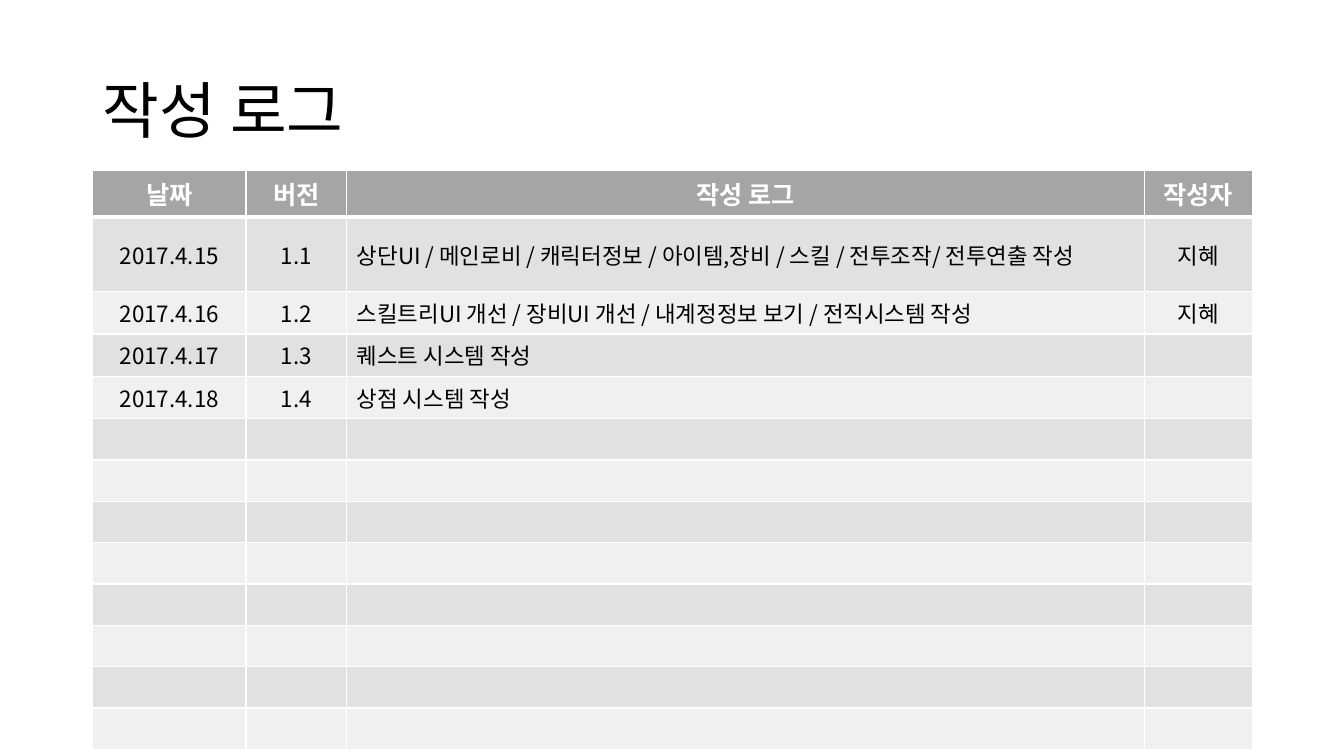
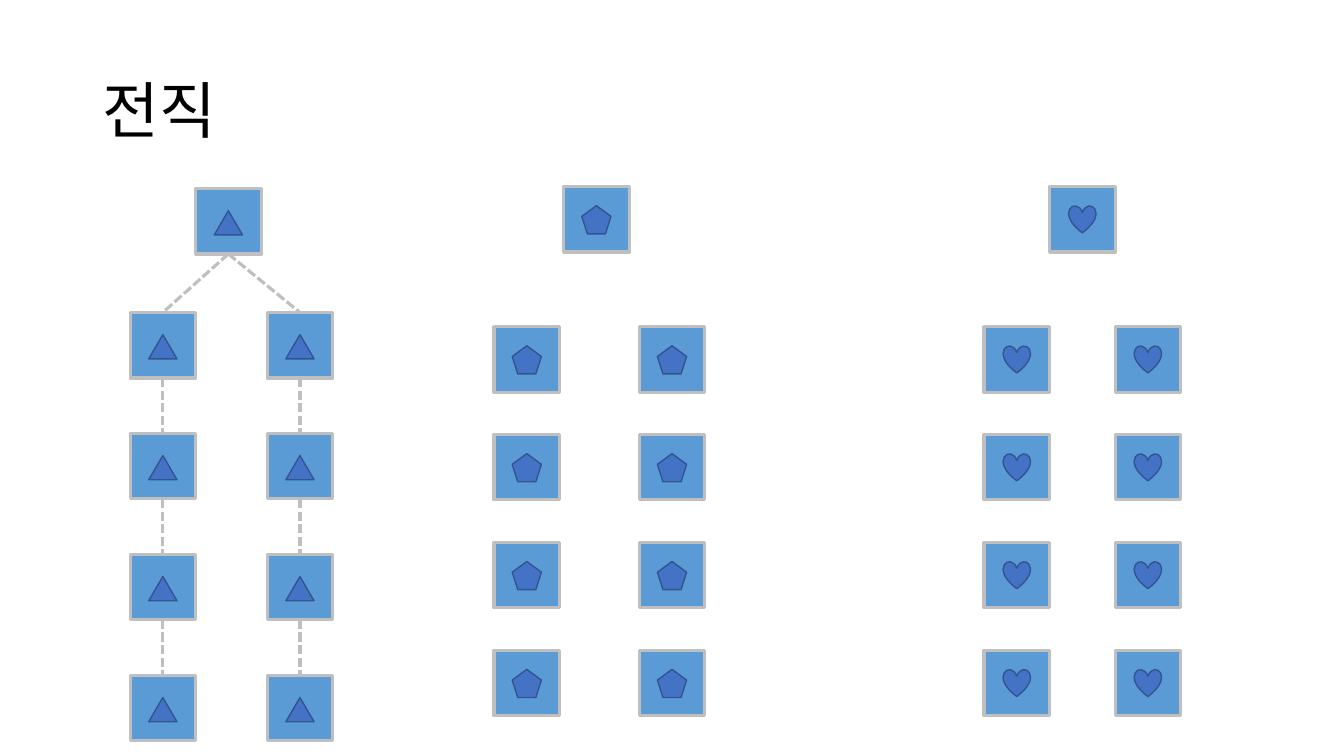
"""Build a work log table slide and a class tree slide."""
import lxml.etree
import pptx
import pptx.dml.color
import pptx.enum.dml
import pptx.enum.shapes
import pptx.enum.text
import pptx.oxml.ns
import pptx.util

Inches = pptx.util.Inches
Pt = pptx.util.Pt
Kind = pptx.enum.shapes.MSO_SHAPE
Align = pptx.enum.text.PP_ALIGN
Anchor = pptx.enum.text.MSO_ANCHOR
qn = pptx.oxml.ns.qn

HUES = {
    "ink": "000000", "white": "FFFFFF", "head": "A5A5A5",
    "odd": "E1E1E1", "even": "F0F0F0", "box": "5B9BD5",
    "edge": "BFBFBF", "icon": "4472C4", "rim": "325491",
}
SIDE = 0.65


def tint(name):
    return pptx.dml.color.RGBColor.from_string(HUES[name])


class Deck:
    font = "Noto Sans CJK KR"

    def __init__(self):
        self.prs = pptx.Presentation()
        self.prs.slide_width = Inches(13.33)
        self.prs.slide_height = Inches(7.5)
        self.slide = None

    def page(self, title):
        self.slide = self.prs.slides.add_slide(self.prs.slide_layouts[5])
        head = self.slide.shapes.title
        head.left, head.top = Inches(0.92), Inches(0.4)
        head.width, head.height = Inches(11.5), Inches(1.45)
        head.text_frame.vertical_anchor = Anchor.MIDDLE
        self.text(head.text_frame, title, 44, "ink", Align.LEFT)
        head.text_frame.paragraphs[0].line_spacing = 0.9

    def text(self, frame, words, size, hue, align, bold=False):
        para = frame.paragraphs[0]
        para.alignment = align
        run = para.add_run()
        run.text = words
        run.font.size = Pt(size)
        run.font.bold = bold
        run.font.color.rgb = tint(hue)
        run.font.name = self.font
        east = lxml.etree.SubElement(run.font._element, qn("a:ea"))
        east.set("typeface", self.font)

    def border(self, cell, base):
        props = cell._tc.get_or_add_tcPr()
        widths = {"L": 1, "R": 1, "T": 1, "B": base}
        for spot, (edge, width) in enumerate(widths.items()):
            line = lxml.etree.Element(qn("a:ln" + edge), w=str(Pt(width)))
            fill = lxml.etree.SubElement(line, qn("a:solidFill"))
            lxml.etree.SubElement(fill, qn("a:srgbClr"), val=HUES["white"])
            props.insert(spot, line)

    def table(self, left, top, cols, high, rows):
        grid = self.slide.shapes.add_table(
            len(rows), len(cols), Inches(left), Inches(top),
            Inches(sum(cols)), Inches(high * len(rows))).table
        for col, width in zip(grid.columns, cols):
            col.width = Inches(width)
        for r, row in enumerate(rows):
            grid.rows[r].height = Inches(high)
            for c, words in enumerate(row):
                cell = grid.cell(r, c)
                cell.vertical_anchor = Anchor.MIDDLE
                cell.fill.solid()
                if r == 0:
                    cell.fill.fore_color.rgb = tint("head")
                    self.text(cell.text_frame, words, 18, "white",
                              Align.CENTER, True)
                else:
                    cell.fill.fore_color.rgb = tint("odd" if r % 2 else "even")
                    self.text(cell.text_frame, words, 16, "ink",
                              Align.LEFT if c == 2 else Align.CENTER)
                self.border(cell, 1 if r else 3)

    def shape(self, group, kind, left, top, width, high, fill, line, thick):
        item = group.shapes.add_shape(
            kind, Inches(left), Inches(top), Inches(width), Inches(high))
        item.shadow.inherit = False
        item.fill.solid()
        item.fill.fore_color.rgb = tint(fill)
        item.line.color.rgb = tint(line)
        item.line.width = Pt(thick)
        return item

    def badge(self, left, top, icon):
        kind, width, high, drop = icon
        group = self.slide.shapes.add_group_shape()
        box = self.shape(group, Kind.RECTANGLE, left, top, SIDE, SIDE,
                         "box", "edge", 2.25)
        self.shape(group, kind, left + (SIDE - width) / 2, top + drop,
                   width, high, "icon", "rim", 1)
        return box

    def link(self, upper, lower):
        line = self.slide.shapes.add_connector(
            pptx.enum.shapes.MSO_CONNECTOR.STRAIGHT, 0, 0, 0, 0)
        line.begin_connect(upper, 2)
        line.end_connect(lower, 0)
        line.line.color.rgb = tint("edge")
        line.line.width = Pt(2.25)
        line.line.dash_style = pptx.enum.dml.MSO_LINE.SQUARE_DOT
        lxml.etree.SubElement(line.element.spPr, qn("a:effectLst"))

    def tree(self, icon, root, lefts, top, step, linked):
        first = self.badge(*root, icon)
        for left in lefts:
            above = first
            for row in range(4):
                box = self.badge(left, top + row * step, icon)
                if linked:
                    self.link(above, box)
                above = box


def main():
    deck = Deck()
    deck.page("작성 로그")
    rows = [
        ("날짜", "버전", "작성 로그", "작성자"),
        ("2017.4.15", "1.1",
         "상단UI / 메인로비 / 캐릭터정보 / 아이템,장비 / 스킬 / 전투조작/ 전투연출 작성",
         "지혜"),
        ("2017.4.16", "1.2",
         "스킬트리UI 개선 / 장비UI 개선 / 내계정정보 보기 / 전직시스템 작성", "지혜"),
        ("2017.4.17", "1.3", "퀘스트 시스템 작성", ""),
        ("2017.4.18", "1.4", "상점 시스템 작성", ""),
    ] + [("",) * 4] * 8
    deck.table(0.92, 1.69, (1.52, 1, 7.91, 1.07), 0.41, rows)

    deck.page("전직")
    trees = [
        ((Kind.ISOSCELES_TRIANGLE, 0.28, 0.24, 0.22),
         (1.94, 1.87), (1.29, 2.65), 3.1, 1.2, True),
        ((Kind.REGULAR_PENTAGON, 0.29, 0.28, 0.19),
         (5.59, 1.85), (4.9, 6.34), 3.24, 1.07, False),
        ((Kind.HEART, 0.27, 0.27, 0.19),
         (10.41, 1.85), (9.76, 11.06), 3.24, 1.07, False),
    ]
    for tree in trees:
        deck.tree(*tree)
    deck.prs.save("out.pptx")


if __name__ == "__main__":
    main()
